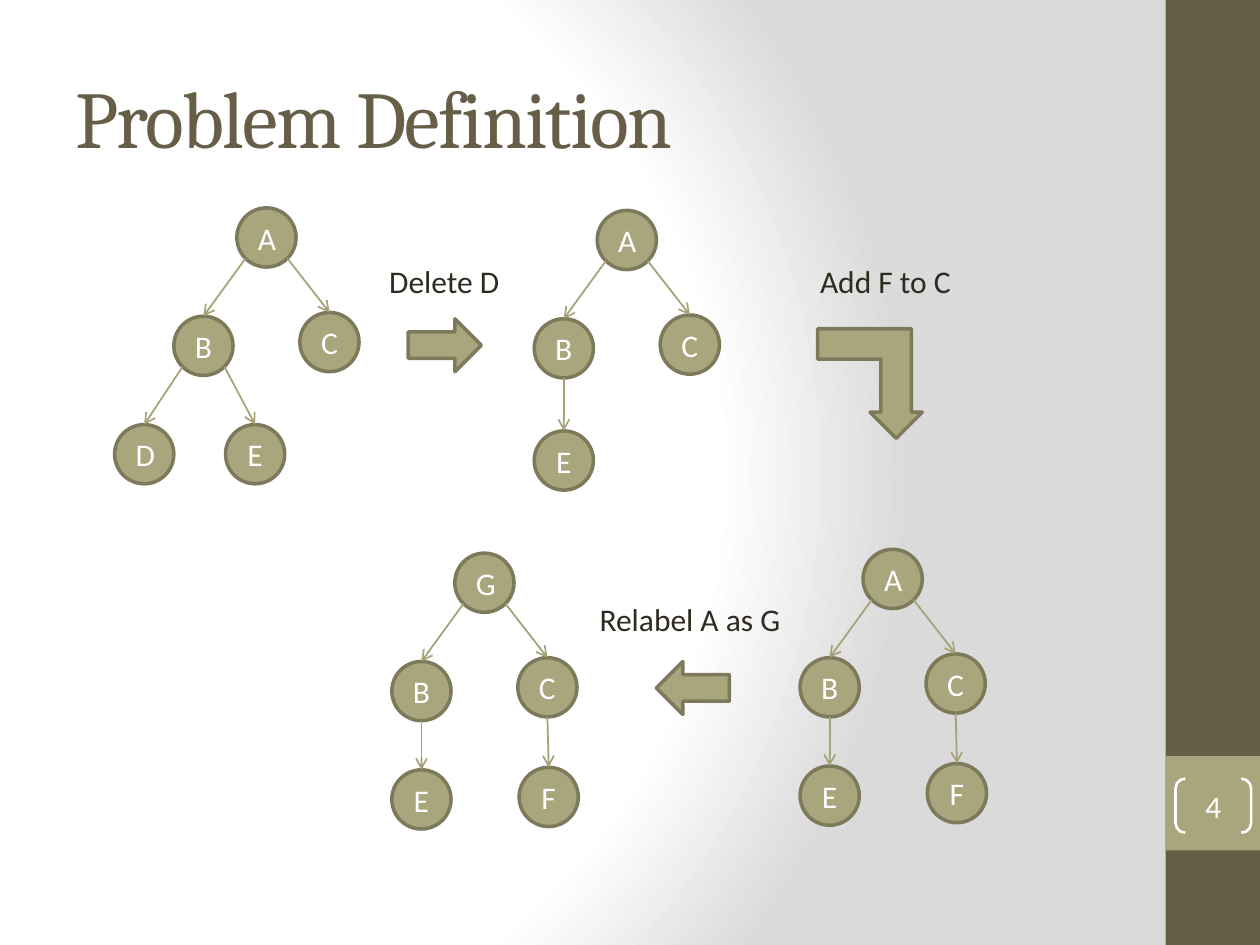
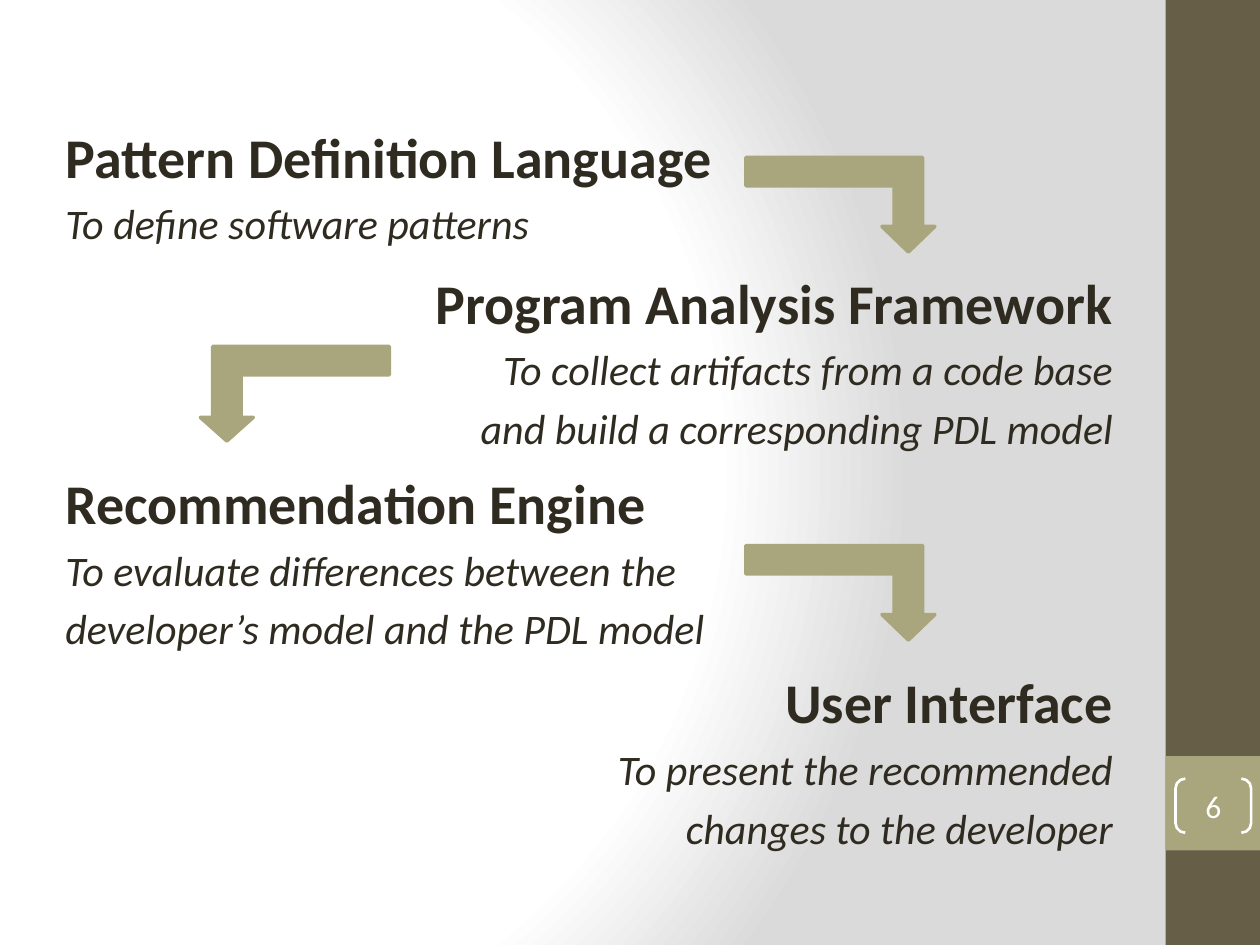
"""Build two slides: a tree-editing example and a four-part workflow."""
from dataclasses import dataclass
from typing import Optional

from lxml.etree import SubElement
from pptx import Presentation
from pptx.dml.color import RGBColor
from pptx.enum.shapes import MSO_CONNECTOR as Connector, MSO_SHAPE as Preset
from pptx.enum.text import MSO_ANCHOR as Anchor, MSO_AUTO_SIZE as AutoSize, PP_ALIGN as Align
from pptx.oxml import parse_xml
from pptx.oxml.ns import nsdecls, qn
from pptx.util import Inches, Pt

WIDTH, HEIGHT = Inches(10), Inches(7.5)
COLUMNS, ROWS = 100, 75
NODE = 4.7  # node diameter in grid cells
DIAGONAL = 0.5 ** 0.5


@dataclass(frozen=True)
class Theme:
    """Colours, fonts and sizes of the whole deck."""
    dark: str = "675E47"
    accent: str = "A9A57C"
    outline: str = "7D7A5C"
    edge: str = "A6A278"
    text: str = "2F2B20"
    white: str = "FFFFFF"
    grey: str = "DADADA"
    title_font: str = "Cambria"
    body_font: str = "Calibri"
    title_size: float = 46
    heading_size: float = 32
    detail_size: float = 24
    label_size: float = 18
    outline_width: float = 2
    bracket_width: float = 1.5
    edge_width: float = 1


THEME = Theme()


@dataclass(frozen=True)
class Area:
    """A rectangle in grid columns and rows."""
    left: float
    top: float
    width: float
    height: float

    def box(self) -> tuple:
        """Return left, top, width and height as slide lengths."""
        return (across(self.left), down(self.top), across(self.width), down(self.height))


@dataclass(frozen=True)
class Node:
    """A tree node placed relative to the root; parent is an index in the tree."""
    label: str
    column: float = 0
    row: float = 0
    parent: Optional[int] = None
    side: int = 0  # where the edge leaves the parent: -1 left, 0 below, 1 right


@dataclass(frozen=True)
class Tree:
    """A tree with the top-left corner of its root."""
    column: float
    row: float
    nodes: tuple


@dataclass(frozen=True)
class Arrow:
    """A block arrow with its adjustments and orientation."""
    preset: Preset
    area: Area
    adjustments: tuple = ()
    flip: str = ""
    rotation: float = 0
    outline: str = THEME.outline


@dataclass(frozen=True)
class Label:
    """A short caption and its box."""
    text: str
    area: Area


@dataclass(frozen=True)
class Stage:
    """A workflow stage: heading first, then detail lines."""
    lines: tuple
    area: Area
    align: Align = Align.LEFT


def across(columns: float) -> int:
    """Convert grid columns to a length."""
    return round(WIDTH * columns / COLUMNS)


def down(rows: float) -> int:
    """Convert grid rows to a length."""
    return round(HEIGHT * rows / ROWS)


def format_paragraph(paragraph, size: float, color: str, font: str = THEME.body_font,
                     bold: bool = False, italic: bool = False) -> None:
    """Give every run of a paragraph one style."""
    for run in paragraph.runs:
        run.font.name, run.font.size = font, Pt(size)
        run.font.bold, run.font.italic = bold, italic
        run.font.color.rgb = RGBColor.from_string(color)


def add_shape(slide, preset: Preset, area: Area, fill: str = "", line: str = "",
              line_width: float = THEME.outline_width, text: str = ""):
    """Draw a flat preset shape with optional fill, outline and centred text."""
    shape = slide.shapes.add_shape(preset, *area.box())
    shape.shadow.inherit = False
    if fill:
        shape.fill.solid()
        shape.fill.fore_color.rgb = RGBColor.from_string(fill)
    else:
        shape.fill.background()
    if line:
        shape.line.color.rgb = RGBColor.from_string(line)
        shape.line.width = Pt(line_width)
    else:
        shape.line.fill.background()
    if text:
        frame = shape.text_frame
        frame.text, frame.vertical_anchor = text, Anchor.MIDDLE
        frame.paragraphs[0].alignment = Align.CENTER
        format_paragraph(frame.paragraphs[0], THEME.label_size, THEME.white)
    return shape


def set_background(master) -> None:
    """Put the circular gradient behind all slides."""
    master.background.fill.gradient()
    placeholder_fill = master.element.find(".//" + qn("a:gradFill"))
    stops = "".join(f'<a:gs pos="{share * 1000}"><a:srgbClr val="{color}"/></a:gs>'
                    for share, color in ((0, THEME.white), (75, THEME.white), (100, THEME.grey)))
    gradient = parse_xml(
        f'<a:gradFill rotWithShape="1" {nsdecls("a")}><a:gsLst>{stops}</a:gsLst>'
        '<a:path path="circle"><a:fillToRect l="20000" t="50000" r="100000" b="50000"/>'
        '</a:path></a:gradFill>')
    placeholder_fill.getparent().replace(placeholder_fill, gradient)


def add_frame(slide, number: int) -> None:
    """Draw the side band and the bracketed slide number."""
    add_shape(slide, Preset.RECTANGLE, Area(92.5, 0, 7.5, ROWS), THEME.dark)
    add_shape(slide, Preset.RECTANGLE, Area(92.5, 60, 7.5, 7.5), THEME.accent)
    bracket = add_shape(slide, Preset.DOUBLE_BRACKET, Area(93.3, 61.8, 6, 4.3), line=THEME.white,
                        line_width=THEME.bracket_width, text=str(number))
    bracket.adjustments[0] = 0.18
    frame = bracket.text_frame
    frame.margin_left = frame.margin_right = frame.margin_top = frame.margin_bottom = 0


def set_title(slide, text: str) -> None:
    """Place and format the title placeholder."""
    title = slide.shapes.title
    title.left, title.top, title.width, title.height = Area(5, 3, 83.3, 12.5).box()
    frame = title.text_frame
    frame.text, frame.vertical_anchor = text, Anchor.MIDDLE
    paragraph = frame.paragraphs[0]
    paragraph.alignment = Align.LEFT
    format_paragraph(paragraph, THEME.title_size, THEME.dark, THEME.title_font)
    paragraph.runs[0]._r.get_or_add_rPr().set("spc", "-100")


def add_edge(slide, start: tuple, end: tuple) -> None:
    """Draw a thin arrow between two grid points."""
    edge = slide.shapes.add_connector(Connector.STRAIGHT, across(start[0]), down(start[1]),
                                      across(end[0]), down(end[1]))
    edge.line.color.rgb = RGBColor.from_string(THEME.edge)
    edge.line.width = Pt(THEME.edge_width)
    SubElement(edge.line._get_or_add_ln(), qn("a:tailEnd"), type="arrow")
    SubElement(edge.element.spPr, qn("a:effectLst"))


def add_tree(slide, tree: Tree) -> None:
    """Draw the nodes of a tree, then its edges."""
    radius = NODE / 2
    centers = [(tree.column + node.column + radius, tree.row + node.row + radius)
               for node in tree.nodes]
    for node, (column, row) in zip(tree.nodes, centers):
        add_shape(slide, Preset.OVAL, Area(column - radius, row - radius, NODE, NODE),
                  THEME.accent, THEME.outline, text=node.label)
    for node, (column, row) in zip(tree.nodes, centers):
        if node.parent is not None:
            parent_column, parent_row = centers[node.parent]
            drop = radius * (DIAGONAL if node.side else 1)
            start = (parent_column + node.side * radius * DIAGONAL, parent_row + drop)
            add_edge(slide, start, (column, row - radius))


def add_arrow(slide, arrow: Arrow) -> None:
    """Draw a block arrow."""
    shape = add_shape(slide, arrow.preset, arrow.area, THEME.accent, arrow.outline)
    for index, value in enumerate(arrow.adjustments):
        shape.adjustments[index] = value
    shape.rotation = arrow.rotation
    if arrow.flip:
        shape.element.spPr.find(qn("a:xfrm")).set(arrow.flip, "1")


def add_label(slide, label: Label) -> None:
    """Write a caption in a box that fits its text."""
    frame = slide.shapes.add_textbox(*label.area.box()).text_frame
    frame.text, frame.word_wrap = label.text, False
    frame.auto_size = AutoSize.SHAPE_TO_FIT_TEXT
    format_paragraph(frame.paragraphs[0], THEME.label_size, THEME.text)


def add_stage(slide, stage: Stage) -> None:
    """Write a bold heading with italic detail lines below."""
    frame = slide.shapes.add_textbox(*stage.area.box()).text_frame
    frame.word_wrap = True
    frame.text = "\n".join(stage.lines)
    for index, paragraph in enumerate(frame.paragraphs):
        heading = index == 0
        paragraph.alignment = stage.align
        spacing = SubElement(paragraph._p.get_or_add_pPr(), qn("a:spcBef"))
        SubElement(spacing, qn("a:spcPct"), val="20000")
        format_paragraph(paragraph, THEME.heading_size if heading else THEME.detail_size,
                         THEME.text, bold=heading, italic=not heading)


def upper_nodes(root: str) -> tuple:
    """Return the root with its children B and C."""
    return (Node(root), Node("B", -5, 8.6, 0, -1), Node("C", 5, 8.3, 0, 1))


LEAVES = (Node("E", -5, 17.2, 1), Node("F", 5.1, 17, 2))
TREES = (
    Tree(18.8, 16.5, upper_nodes("A") + (Node("D", -9.7, 17.2, 1, -1),
                                         Node("E", -0.9, 17.2, 1, 1))),
    Tree(47.4, 16.7, upper_nodes("A") + (Node("E", -5, 17.5, 1),)),
    Tree(68.5, 43.6, upper_nodes("A") + LEAVES),
    Tree(36.1, 43.9, upper_nodes("G") + LEAVES),
)
EDIT_ARROWS = (
    Arrow(Preset.RIGHT_ARROW, Area(32.4, 25.3, 5.8, 4.2)),
    Arrow(Preset.RIGHT_ARROW, Area(52.1, 52.5, 5.8, 4.2), flip="flipH"),
    Arrow(Preset.BENT_UP_ARROW, Area(64.9, 26.1, 8.3, 8.7), (0.29, 0.25, 0.25), "flipV"),
)
EDIT_LABELS = (
    Label("Delete D", Area(29.9, 20.3, 10.8, 4)),
    Label("Add F to C", Area(64.1, 20.3, 12.5, 4)),
    Label("Relabel A as G", Area(46.6, 47.1, 17.5, 4)),
)
STAGES = (
    Stage(("Pattern Definition Language", "To define software patterns"),
          Area(4.2, 9.2, 85, 12.5)),
    Stage(("Program Analysis Framework", "To collect artifacts from a code base",
           "and build a corresponding PDL model"), Area(4.2, 20.8, 85.1, 16.7), Align.RIGHT),
    Stage(("Recommendation Engine", "To evaluate differences between the",
           "developer’s model and the PDL model"), Area(4.2, 36.7, 85.1, 16.7)),
    Stage(("User Interface", "To present the recommended", "changes to the developer"),
          Area(4.2, 52.5, 85.1, 18.3), Align.RIGHT),
)
STAGE_ARROWS = tuple(
    Arrow(Preset.BENT_UP_ARROW, Area(column, row, 15, 7.5), (0.3, 0.28, head), flip, turn,
          THEME.accent)
    for column, row, head, flip, turn in ((59.2, 12.5, 0.27, "flipV", 0),
                                          (15.9, 27.5, 0.25, "", 180),
                                          (59.2, 43.3, 0.27, "flipV", 0)))


def build_problem_slide(presentation) -> None:
    """Show one tree through three edits."""
    slide = presentation.slides.add_slide(presentation.slide_layouts.get_by_name("Title Only"))
    add_frame(slide, 4)
    set_title(slide, "Problem Definition")
    for tree in TREES:
        add_tree(slide, tree)
    for arrow in EDIT_ARROWS:
        add_arrow(slide, arrow)
    for label in EDIT_LABELS:
        add_label(slide, label)


def build_workflow_slide(presentation) -> None:
    """Show the four stages joined by bent arrows."""
    slide = presentation.slides.add_slide(presentation.slide_layouts.get_by_name("Blank"))
    add_frame(slide, 6)
    for stage in STAGES:
        add_stage(slide, stage)
    for arrow in STAGE_ARROWS:
        add_arrow(slide, arrow)


deck = Presentation()
deck.slide_width, deck.slide_height = WIDTH, HEIGHT
set_background(deck.slide_master)
build_problem_slide(deck)
build_workflow_slide(deck)
deck.save("out.pptx")
